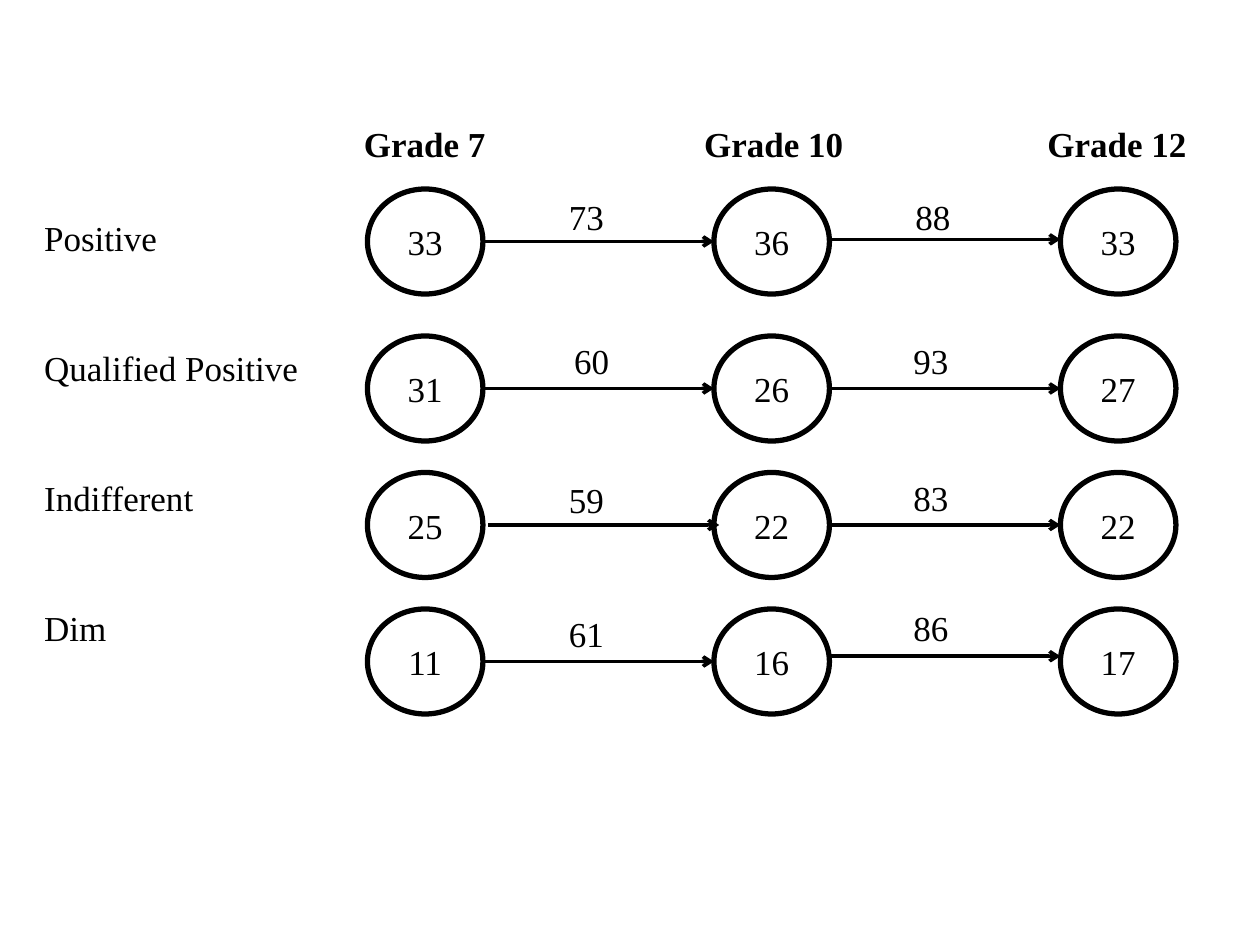
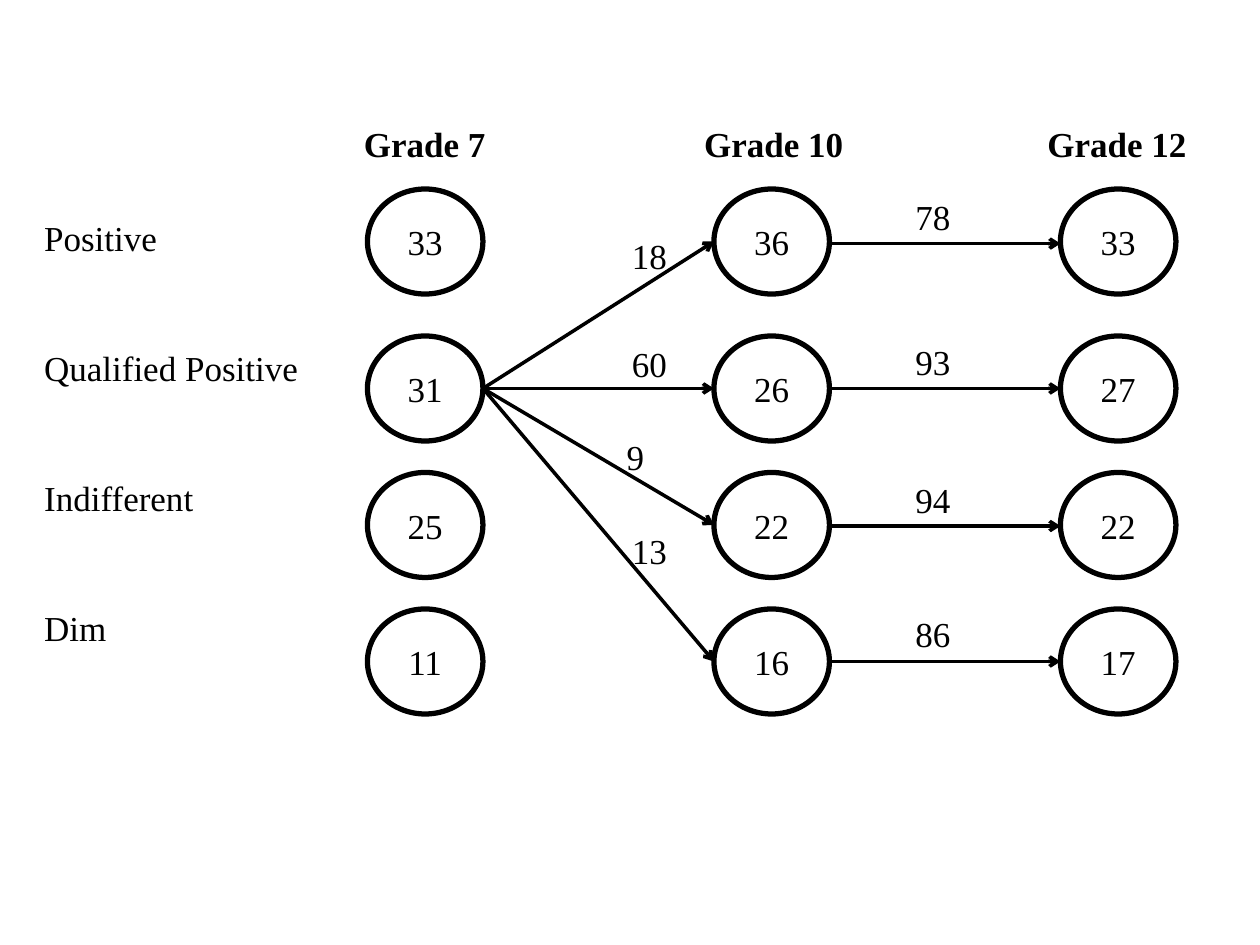
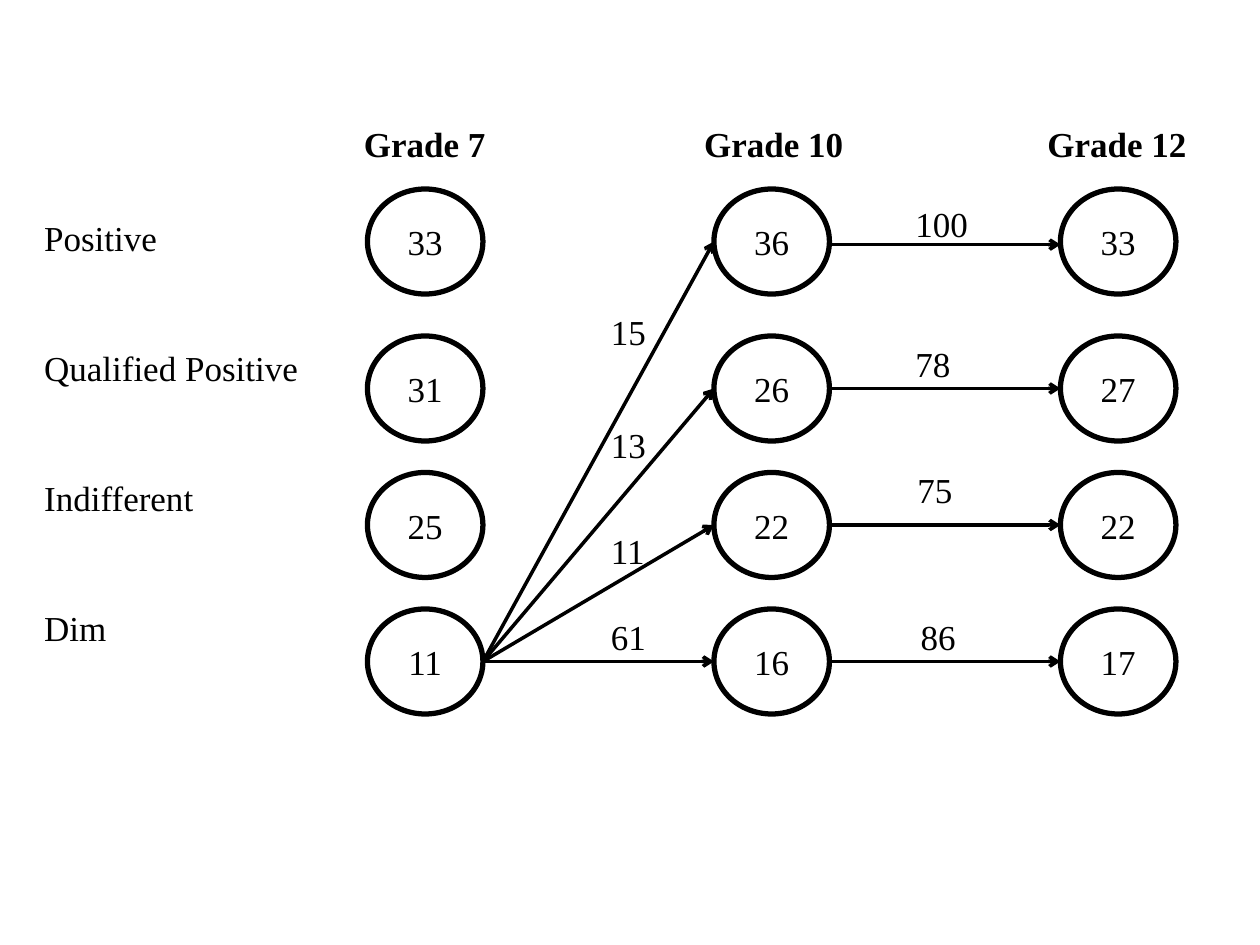
from dataclasses import dataclass

from lxml import etree
from pptx import Presentation
from pptx.dml.color import RGBColor
from pptx.enum.shapes import MSO_CONNECTOR, MSO_SHAPE
from pptx.enum.text import MSO_ANCHOR, MSO_AUTO_SIZE, PP_ALIGN
from pptx.oxml.ns import qn
from pptx.util import Inches, Pt

ELLIPSE = MSO_SHAPE.OVAL
STRAIGHT = MSO_CONNECTOR.STRAIGHT
LEFT, CENTER = PP_ALIGN.LEFT, PP_ALIGN.CENTER
TOP, MIDDLE = MSO_ANCHOR.TOP, MSO_ANCHOR.MIDDLE
GROW = MSO_AUTO_SIZE.SHAPE_TO_FIT_TEXT

COLORS = {"ink": "000000", "paper": "FFFFFF"}
FONT = "Times New Roman"

# Grid: 12 units to the inch, so a slide is 120 columns by 90 rows
UNITS_PER_INCH = 12
SLIDE_COLUMNS, SLIDE_ROWS = 120, 90

# Circles: one column per grade, one row per attitude
GRADE_LEFTS = (35, 68, 101)
ATTITUDE_TOPS = (18, 32, 45, 58)
CIRCLE_WIDTH, CIRCLE_HEIGHT = 11, 10
SHARES = ((33, 36, 33), (31, 26, 27), (25, 22, 22), (11, 16, 17))

# Table behind the circles
TABLE_LEFT, TABLE_TOP = 3, 11.4
TABLE_COLUMNS = (29.4, 16.1, 16.1, 18.2, 12.1, 23)
HEADER_HEIGHT, ATTITUDE_HEIGHT = 5.28, 12.36
HEADERS = ("", "Grade 7", "", "Grade 10", "", "Grade 12")
ATTITUDES = ("Positive", "Qualified Positive", "Indifferent", "Dim")

LABEL_WIDTH, LABEL_HEIGHT = 7, 5.25


@dataclass
class Flow:
    """Arrow between neighbouring grades, with its percentage."""
    grade: int
    start: int
    end: int
    percent: int
    label_left: float
    label_top: float
    shift_x: float = 0
    shift_y: float = 0
    label_width: float = LABEL_WIDTH


SAME_ATTITUDE = (
    Flow(0, 0, 0, 73, 53, 18),
    Flow(1, 0, 0, 88, 86, 18, shift_y=-0.2),
    Flow(0, 1, 1, 60, 53.5, 31.7),
    Flow(1, 1, 1, 93, 85.8, 31.7),
    Flow(0, 2, 2, 59, 53, 45, shift_x=0.5),
    Flow(1, 2, 2, 83, 85.8, 44.8),
    Flow(0, 3, 3, 61, 53, 57.7),
    Flow(1, 3, 3, 86, 85.8, 57.2, shift_y=-0.5),
)
FROM_QUALIFIED_POSITIVE = (
    Flow(0, 1, 0, 18, 59, 21.7),
    Flow(0, 1, 1, 60, 59, 32),
    Flow(0, 1, 2, 9, 58.5, 40.9),
    Flow(0, 1, 3, 13, 59, 49.8),
    Flow(1, 0, 0, 78, 86, 18, shift_y=0.2),
    Flow(1, 1, 1, 93, 86, 31.8),
    Flow(1, 2, 2, 94, 86, 45, shift_y=0.1),
    Flow(1, 3, 3, 86, 86, 57.7),
)
FROM_DIM = (
    Flow(0, 3, 0, 15, 57, 29),
    Flow(0, 3, 1, 13, 57, 39.7),
    Flow(0, 3, 2, 11, 57, 49.8),
    Flow(0, 3, 3, 61, 57, 58),
    Flow(1, 0, 0, 100, 86, 18.7, shift_y=0.3, label_width=7.5),
    Flow(1, 1, 1, 78, 86, 32),
    Flow(1, 2, 2, 75, 86.2, 44),
    Flow(1, 3, 3, 86, 86.5, 58),
)


def units(*values):
    return [Inches(value / UNITS_PER_INCH) for value in values]


def color(name):
    return RGBColor.from_string(COLORS[name])


def write(text_frame, text, bold=False, align=LEFT, size=20):
    paragraph = text_frame.paragraphs[0]
    paragraph.alignment = align
    run = paragraph.add_run()
    run.text = str(text)
    run.font.name = FONT
    run.font.size = Pt(size)
    run.font.bold = bold
    run.font.color.rgb = color("ink")


class Deck:
    def __init__(self):
        self.presentation = Presentation()
        width, height = units(SLIDE_COLUMNS, SLIDE_ROWS)
        self.presentation.slide_width = width
        self.presentation.slide_height = height
        self.slide = None

    def add_slide(self):
        blank = self.presentation.slide_layouts[6]
        self.slide = self.presentation.slides.add_slide(blank)
        fill = self.slide.background.fill
        fill.solid()
        fill.fore_color.rgb = color("paper")

    def add_table(self):
        heights = [HEADER_HEIGHT] + [ATTITUDE_HEIGHT] * len(ATTITUDES)
        frame = self.slide.shapes.add_table(
            len(heights), len(TABLE_COLUMNS),
            *units(TABLE_LEFT, TABLE_TOP, sum(TABLE_COLUMNS), sum(heights)))
        table = frame.table
        table.first_row = table.horz_banding = False
        for column, width in zip(table.columns, units(*TABLE_COLUMNS)):
            column.width = width
        for row, height in zip(table.rows, units(*heights)):
            row.height = height
        for cell in table.iter_cells():
            cell.fill.background()
        for index, header in enumerate(HEADERS):
            if header:
                cell = table.cell(0, index)
                cell.vertical_anchor = TOP
                write(cell.text_frame, header, bold=True, align=CENTER)
        for index, attitude in enumerate(ATTITUDES, start=1):
            cell = table.cell(index, 0)
            cell.vertical_anchor = MIDDLE
            write(cell.text_frame, attitude)

    def add_circle(self, left, top, text):
        shape = self.slide.shapes.add_shape(
            ELLIPSE, *units(left, top, CIRCLE_WIDTH, CIRCLE_HEIGHT))
        shape.shadow.inherit = False
        shape.fill.background()
        shape.line.color.rgb = color("ink")
        shape.line.width = Pt(3)
        shape.text_frame.vertical_anchor = MIDDLE
        write(shape.text_frame, text, align=CENTER)

    def add_arrow(self, *ends):
        connector = self.slide.shapes.add_connector(STRAIGHT, *units(*ends))
        connector.line.color.rgb = color("ink")
        connector.line.width = Pt(2)
        properties = connector._element.spPr
        line = properties.find(qn("a:ln"))
        etree.SubElement(line, qn("a:tailEnd"), type="arrow")
        etree.SubElement(properties, qn("a:effectLst"))

    def add_label(self, left, top, width, text):
        shape = self.slide.shapes.add_textbox(
            *units(left, top, width, LABEL_HEIGHT))
        shape.text_frame.word_wrap = True
        shape.text_frame.auto_size = GROW
        write(shape.text_frame, text)

    def add_flow(self, flow):
        middle = CIRCLE_HEIGHT / 2 + flow.shift_y
        self.add_arrow(
            GRADE_LEFTS[flow.grade] + CIRCLE_WIDTH + flow.shift_x,
            ATTITUDE_TOPS[flow.start] + middle,
            GRADE_LEFTS[flow.grade + 1] + flow.shift_x,
            ATTITUDE_TOPS[flow.end] + middle)
        self.add_label(flow.label_left, flow.label_top, flow.label_width,
                       flow.percent)


def main():
    deck = Deck()
    for flows in (SAME_ATTITUDE, FROM_QUALIFIED_POSITIVE, FROM_DIM):
        deck.add_slide()
        deck.add_table()
        for top, shares in zip(ATTITUDE_TOPS, SHARES):
            for left, share in zip(GRADE_LEFTS, shares):
                deck.add_circle(left, top, share)
        for flow in flows:
            deck.add_flow(flow)
    deck.presentation.save("out.pptx")


if __name__ == "__main__":
    main()
